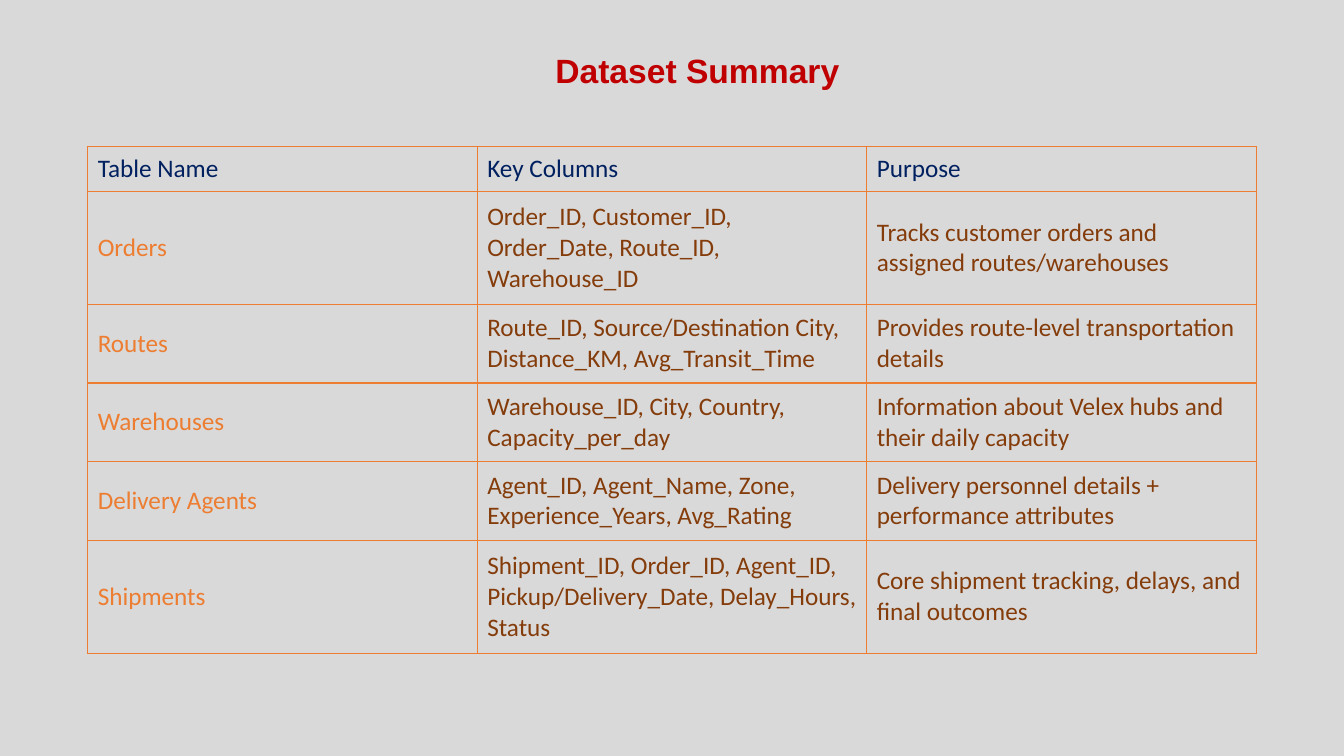
import pptx
import pptx.util
import pptx.dml.color
import pptx.enum.text
from lxml import etree
from pptx.util import Inches, Pt

INK = {"back": "D9D9D9", "title": "C00000", "head": "002060",
       "name": "ED7D31", "body": "843C0B", "edge": "ED7D31"}
NS = "http://schemas.openxmlformats.org/drawingml/2006/main"
ROWS = [
    (0.45, "Table Name", "Key Columns", "Purpose"),
    (1.12, "Orders", "Order_ID, Customer_ID, Order_Date, Route_ID, Warehouse_ID",
     "Tracks customer orders and assigned routes/warehouses"),
    (0.78, "Routes", "Route_ID, Source/Destination City, Distance_KM, Avg_Transit_Time",
     "Provides route-level transportation details"),
    (0.78, "Warehouses", "Warehouse_ID, City, Country, Capacity_per_day",
     "Information about Velex hubs and their daily capacity"),
    (0.78, "Delivery Agents", "Agent_ID, Agent_Name, Zone, Experience_Years, Avg_Rating",
     "Delivery personnel details + performance attributes"),
    (1.12, "Shipments",
     "Shipment_ID, Order_ID, Agent_ID, Pickup/Delivery_Date, Delay_Hours, Status",
     "Core shipment tracking, delays, and final outcomes"),
]


def color(key):
    """Return the named colour."""
    return pptx.dml.color.RGBColor.from_string(INK[key])


def add_run(frame, text, font, size, key, bold=False):
    """Add one styled run to the first paragraph of a frame."""
    run = frame.paragraphs[0].add_run()
    run.text = text
    run.font.name = font
    run.font.size = Pt(size)
    run.font.bold = bold
    run.font.color.rgb = color(key)


def add_edges(cell):
    """Draw a thin line on all four sides of a cell."""
    props = cell._tc.get_or_add_tcPr()
    for side in ("lnL", "lnR", "lnT", "lnB"):
        line = etree.SubElement(props, f"{{{NS}}}{side}", w=str(Pt(1)))
        fill = etree.SubElement(line, f"{{{NS}}}solidFill")
        etree.SubElement(fill, f"{{{NS}}}srgbClr", val=INK["edge"])


def fill_cell(cell, text, key):
    """Style one table cell and write its text."""
    add_edges(cell)
    cell.fill.background()
    cell.vertical_anchor = pptx.enum.text.MSO_ANCHOR.MIDDLE
    add_run(cell.text_frame, text, "Calibri", 18, key)


def add_title(slide, text):
    """Add the slide title."""
    box = slide.shapes.add_textbox(Inches(5.41), Inches(0.45), Inches(3.37), Inches(0.48))
    box.text_frame.word_wrap = True
    add_run(box.text_frame, text, "Arial", 24, "title", True)


def add_grid(slide, rows):
    """Add the table of data sets, row heights first in each row."""
    high = sum(row[0] for row in rows)
    table = slide.shapes.add_table(len(rows), 3, Inches(0.87), Inches(1.45),
                                   Inches(11.59), Inches(high)).table
    table.first_row = table.horz_banding = False
    for r, (tall, *texts) in enumerate(rows):
        table.rows[r].height = Inches(tall)
        for c, text in enumerate(texts):
            key = "head" if r == 0 else "name" if c == 0 else "body"
            fill_cell(table.cell(r, c), text, key)


def main():
    """Build and save the slide."""
    deck = pptx.Presentation()
    deck.slide_width, deck.slide_height = Inches(13.33), Inches(7.5)
    slide = deck.slides.add_slide(deck.slide_layouts[6])
    slide.background.fill.solid()
    slide.background.fill.fore_color.rgb = color("back")
    add_grid(slide, ROWS)
    add_title(slide, "Dataset Summary")
    deck.save("out.pptx")


if __name__ == "__main__":
    main()
